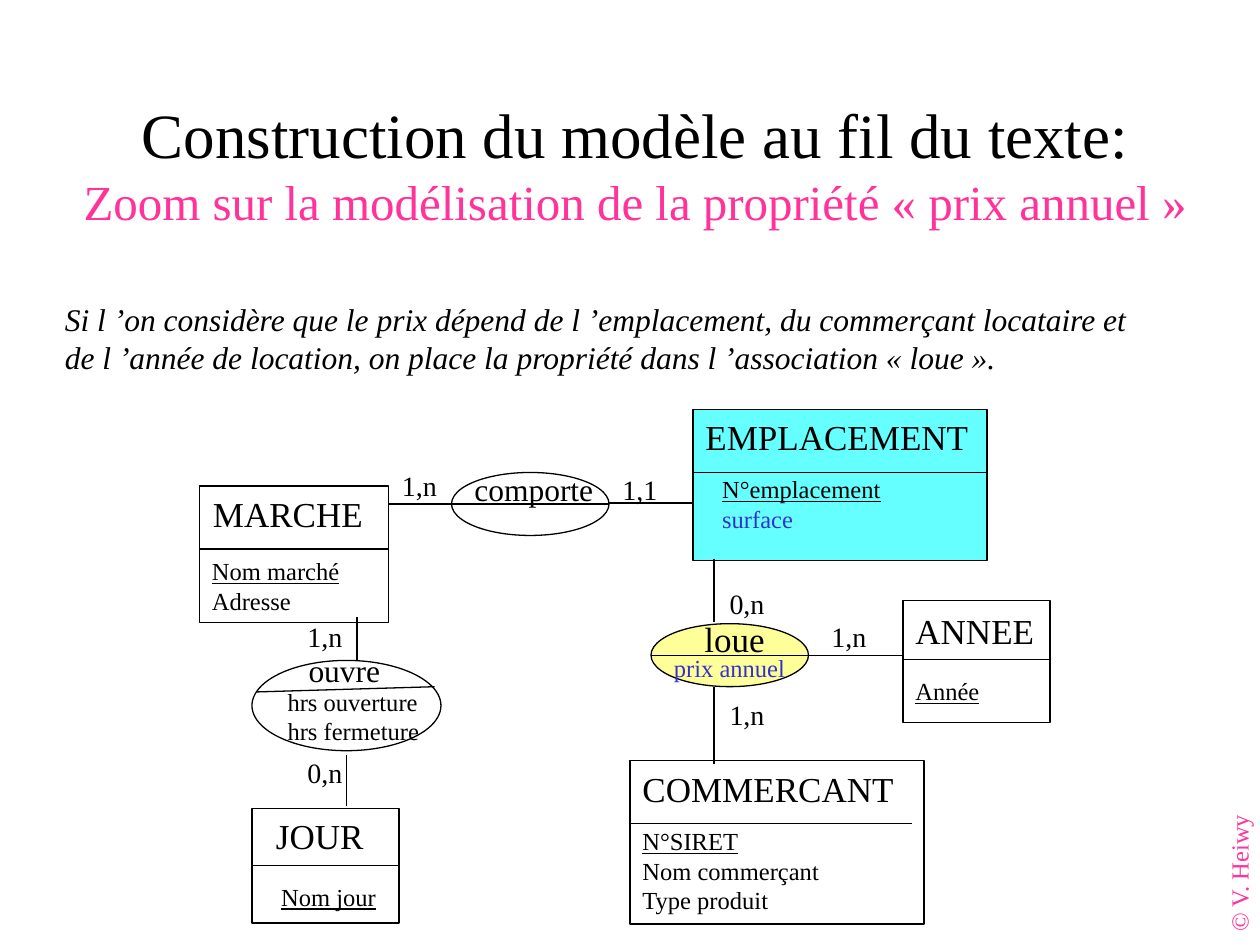
from dataclasses import dataclass
from lxml.etree import SubElement
from pptx import Presentation
from pptx.dml.color import RGBColor
from pptx.enum.shapes import MSO_CONNECTOR, MSO_SHAPE
from pptx.enum.text import MSO_ANCHOR, MSO_AUTO_SIZE, PP_ALIGN
from pptx.oxml.ns import qn
from pptx.util import Inches, Pt


@dataclass(frozen=True)
class Theme:
    font: str = "Times New Roman"
    ink: str = "000000"
    pink: str = "FF3399"
    blue: str = "3333CC"
    cyan: str = "66FFFF"
    yellow: str = "FFFF99"
    white: str = "FFFFFF"
    title: int = 36
    subtitle: int = 28
    entity: int = 20
    body: int = 18
    cardinality: int = 16
    attribute: int = 14
    rule: float = 0.74


theme = Theme()
deck = Presentation()
deck.slide_width, deck.slide_height = Inches(10), Inches(7.5)
slide = deck.slides.add_slide(deck.slide_layouts[5])

# Grid of 120 columns and 90 rows
COL, ROW = deck.slide_width / 120, deck.slide_height / 90


def area(col, row, cols, rows):
    return int(col * COL), int(row * ROW), int(cols * COL), int(rows * ROW)


def write(paragraph, text, size=theme.attribute, color=theme.ink, underline=False, italic=False):
    run = paragraph.add_run()
    run.text = text
    font = run.font
    font.name, font.size = theme.font, Pt(size)
    font.color.rgb = RGBColor.from_string(color)
    font.underline, font.italic = underline, italic


# Title and subtitle
title = slide.shapes.title
title.left, title.top, title.width, title.height = area(5, 8, 111, 15)
title.text_frame.vertical_anchor = MSO_ANCHOR.MIDDLE
title.text_frame.auto_size = MSO_AUTO_SIZE.NONE
heading = title.text_frame.paragraphs[0]
heading.alignment = PP_ALIGN.CENTER
write(heading, "Construction du modèle au fil du texte:", size=theme.title)
heading.add_line_break()
write(heading, "Zoom sur la modélisation de la propriété «\u00a0prix annuel\u00a0»",
      size=theme.subtitle, color=theme.pink)

# Entities: name, box, fill, row and end of the rule, name spot, attribute spot, attributes
entities = [
    ("COMMERCANT", (60, 72.4, 28, 15.6), theme.white, 78.4, 86.9,
     (60, 72.5, 27.5), (60, 78.1, 20.5), ["N°SIRET", "Nom commerçant", "Type produit"]),
    ("ANNEE", (86, 57.2, 14, 11.6), None, 62.8, 100,
     (86, 57.5, 15), (86, 63.8, 10), ["Année"]),
    ("EMPLACEMENT", (66, 39, 28, 14.4), theme.cyan, 45, 94,
     (66, 39, 28.5), (67.6, 44.6, 19), ["N°emplacement", "surface"]),
    ("JOUR", (24, 77, 14, 10.9), None, 82.4, 38,
     (25.1, 77, 12.5), (25.6, 83.4, 12.5), ["Nom jour"]),
    ("MARCHE", (19, 46.3, 18, 13), None, 52.3, 37,
     (19.1, 46.3, 18), (19, 52.4, 17), ["Nom marché", "Adresse"]),
]

# Associations: name, size, oval, fill, rule, name spot, property spot, properties, colour
associations = [
    ("loue", theme.entity, (62, 59.4, 15, 6), theme.yellow, (62, 62.4, 77, 62.4),
     (65.9, 58.2, 9.5), (63, 61.6, 14.5), ["prix annuel"], theme.blue),
    ("comporte", theme.body, (43, 45, 15, 6), None, (43, 48, 58, 48),
     (44, 44.2, 15), None, [], theme.ink),
    ("ouvre", theme.body, (24, 62.9, 18, 8.6), None, (24.5, 65.9, 41.4, 65.4),
     (28.2, 61.4, 10.5), (26.2, 64.8, 16.5), ["hrs ouverture", "hrs fermeture"], theme.ink),
]

# Links between entities and associations
lines = [
    (68, 53.2, 68, 59.2), (68, 65.4, 68, 72.8), (77, 62.4, 86, 62.4),
    (58, 47.9, 66, 47.9), (37, 48, 44, 48), (34, 58.8, 34, 62.9), (33, 71.9, 33, 76.8),
]

# Cardinalities
cardinalities = [
    ("0,n", 68.3, 55.3), ("1,n", 68.3, 65.8), ("1,n", 78, 58.4), ("1,n", 37.1, 44),
    ("1,1", 58.1, 44.4), ("1,n", 28.1, 58.4), ("0,n", 28.1, 71.4),
]
labels = [((col, row, 7), [text], {"size": theme.cardinality}, False)
          for text, col, row in cardinalities]

# Gather outlines, rules and labels
outlines = []
for name, box, fill, rule_row, rule_end, name_spot, attribute_spot, attributes in entities:
    outlines.append((MSO_SHAPE.RECTANGLE, box, fill))
    lines.append((box[0], rule_row, rule_end, rule_row))
    labels.append((name_spot, [name], {"size": theme.entity}, False))
    labels.append((attribute_spot, attributes, {}, True))
for name, size, oval, fill, rule, name_spot, property_spot, properties, color in associations:
    outlines.append((MSO_SHAPE.OVAL, oval, fill))
    lines.append(rule)
    labels.append((name_spot, [name], {"size": size}, False))
    if properties:
        labels.append((property_spot, properties, {"color": color}, False))

# Draw boxes and ovals
for kind, box, fill in outlines:
    outline = slide.shapes.add_shape(kind, *area(*box))
    outline.shadow.inherit = False
    outline.line.color.rgb = RGBColor.from_string(theme.ink)
    outline.line.width = Pt(theme.rule)
    if fill:
        outline.fill.solid()
        outline.fill.fore_color.rgb = RGBColor.from_string(fill)
    else:
        outline.fill.background()

# Draw rules and links
for start_col, start_row, end_col, end_row in lines:
    link = slide.shapes.add_connector(
        MSO_CONNECTOR.STRAIGHT, *area(start_col, start_row, end_col, end_row))
    link.line.color.rgb = RGBColor.from_string(theme.ink)
    link.line.width = Pt(theme.rule)
    SubElement(link._element.spPr, qn("a:effectLst"))

# Draw labels; the first attribute of an entity is its underlined key
for (col, row, cols), texts, style, has_key in labels:
    height = 1.2 + len(texts) * style.get("size", theme.attribute) * 0.2
    frame = slide.shapes.add_textbox(*area(col, row, cols, height)).text_frame
    frame.word_wrap = True
    frame.auto_size = MSO_AUTO_SIZE.NONE
    for index, text in enumerate(texts):
        paragraph = frame.add_paragraph() if index else frame.paragraphs[0]
        color = theme.blue if text == "surface" else theme.ink
        write(paragraph, text, underline=has_key and index == 0, **{"color": color, **style})

# Explanation
explanation = slide.shapes.add_textbox(*area(5, 28, 106, 8.4)).text_frame
explanation.word_wrap = True
write(explanation.paragraphs[0],
      "Si l\u00a0’on considère que le prix dépend de l\u00a0’emplacement, du commerçant locataire "
      "et de l\u00a0’année de location, on place la propriété dans l\u00a0’association "
      "«\u00a0loue\u00a0».", size=theme.body, italic=True)

# Author along the right edge
author = slide.shapes.add_textbox(*area(111.1, 81, 13.8, 4))
author.rotation = 270
author.text_frame.word_wrap = False
write(author.text_frame.paragraphs[0], "© V. Heiwy", color=theme.pink)

deck.save("out.pptx")
